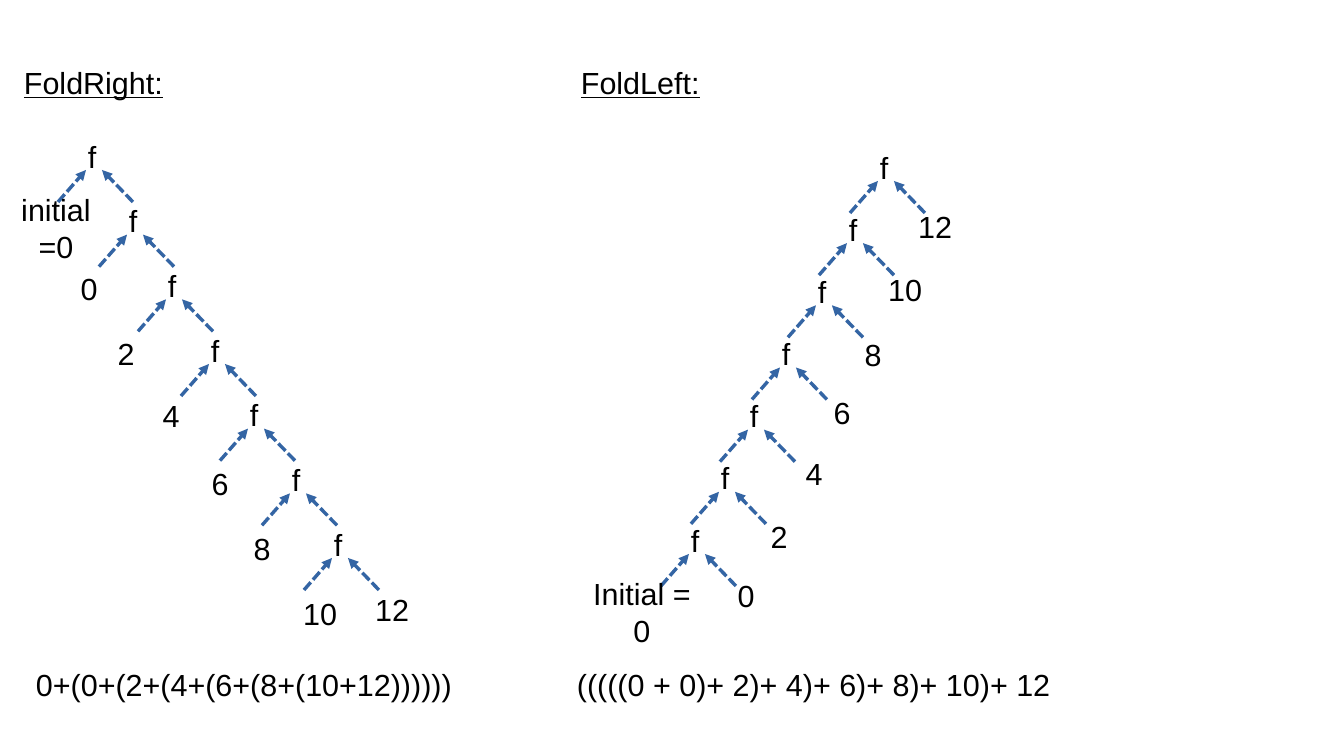
import pptx
import pptx.dml.color
import pptx.enum.dml
import pptx.enum.shapes
import pptx.enum.text
import pptx.oxml
import pptx.oxml.ns
import pptx.util

PX = pptx.util.Inches(1) / 122
BLACK = pptx.dml.color.RGBColor(0x00, 0x00, 0x00)
ARROW_BLUE = pptx.dml.color.RGBColor(0x34, 0x65, 0xA4)
CENTER = pptx.enum.text.PP_ALIGN.CENTER
LEFT = pptx.enum.text.PP_ALIGN.LEFT

NODE_SIZE = (48, 46)
LEAF_SIZE = (82, 46)
# Start and tip of the two arrows into a node, from the node's centre
ARROWS = [((-34, 46), (-6, 14)), ((41, 46), (10, 14))]

# Centres are measured from the left and top of each tree's box
FOLD_RIGHT = {
    "heading": "FoldRight:",
    "formula": "0+(0+(2+(4+(6+(8+(10+12))))))",
    "formula_left": 24,
    "node_centers": [92, 133, 172, 215, 254, 296, 338],
    "node_rows": (156, 544),
    "leaves": [("0", 89, 288), ("2", 126, 353), ("4", 171, 415), ("6", 220, 483),
               ("8", 262, 548), ("10", 320, 613), ("12", 392, 609)],
    "initial": ("initial=0", 56, 228, 99),
}
FOLD_LEFT = {
    "heading": "FoldLeft:",
    "formula": "(((((0 + 0)+ 2)+ 4)+ 6)+ 8)+ 10)+ 12",
    "formula_left": 8,
    "node_centers": [327, 296, 265, 229, 197, 168, 138],
    "node_rows": (167, 540),
    "leaves": [("12", 378, 226), ("10", 348, 289), ("8", 316, 354), ("6", 285, 412),
               ("4", 257, 473), ("2", 222, 536), ("0", 189, 595)],
    "initial": ("Initial = 0", 85, 612, 129),
}


def px(length):
    return pptx.util.Emu(round(length * PX))


def add_text(slide, text, left, center_y, width, height, align=LEFT, underline=None):
    box = slide.shapes.add_textbox(px(left), px(center_y - height / 2), px(width), px(height))
    frame = box.text_frame
    frame.word_wrap = True
    frame.vertical_anchor = pptx.enum.text.MSO_ANCHOR.MIDDLE
    paragraph = frame.paragraphs[0]
    paragraph.text = text
    paragraph.alignment = align
    paragraph.font.name = "Arial"
    paragraph.font.size = pptx.util.Pt(18)
    paragraph.font.color.rgb = BLACK
    paragraph.font.underline = underline


def add_label(slide, text, center_x, center_y, width, height):
    add_text(slide, text, center_x - width / 2, center_y, width, height, CENTER)


def add_arrow(slide, start_x, start_y, end_x, end_y):
    arrow = slide.shapes.add_connector(
        pptx.enum.shapes.MSO_CONNECTOR.STRAIGHT,
        px(start_x), px(start_y), px(end_x), px(end_y))
    arrow.line.color.rgb = ARROW_BLUE
    arrow.line.width = pptx.util.Pt(0)
    arrow.line.dash_style = pptx.enum.dml.MSO_LINE.SQUARE_DOT
    namespace = pptx.oxml.ns.nsdecls("a")
    arrow.line._get_or_add_ln().append(
        pptx.oxml.parse_xml(f'<a:tailEnd {namespace} type="triangle"/>'))
    arrow._element.spPr.append(pptx.oxml.parse_xml(f"<a:effectLst {namespace}/>"))


def add_fold(slide, fold, left, top, width):
    # Heading and resulting expression
    add_text(slide, fold["heading"], left + 12, top + 82, width, 80, underline=True)
    add_text(slide, fold["formula"], left + fold["formula_left"], top + 684, width, 46)

    # Nodes with the two arrows into each
    first_row, last_row = fold["node_rows"]
    row_step = (last_row - first_row) / (len(fold["node_centers"]) - 1)
    for row, center in enumerate(fold["node_centers"]):
        x, y = left + center, top + first_row + row * row_step
        add_label(slide, "f", x, y, *NODE_SIZE)
        for (start_x, start_y), (end_x, end_y) in ARROWS:
            add_arrow(slide, x + start_x, y + start_y, x + end_x, y + end_y)

    # List values and the initial value
    for value, x, y in fold["leaves"]:
        add_label(slide, value, left + x, top + y, *LEAF_SIZE)
    text, x, y, label_width = fold["initial"]
    add_label(slide, text, left + x, top + y, label_width, 80)


def main():
    presentation = pptx.Presentation()
    presentation.slide_width = px(1344)
    presentation.slide_height = px(756)
    slide = presentation.slides.add_slide(presentation.slide_layouts.get_by_name("Blank"))
    add_fold(slide, FOLD_RIGHT, 0, 0, 452)
    add_fold(slide, FOLD_LEFT, 557, 0, 512)
    presentation.save("out.pptx")


if __name__ == "__main__":
    main()
